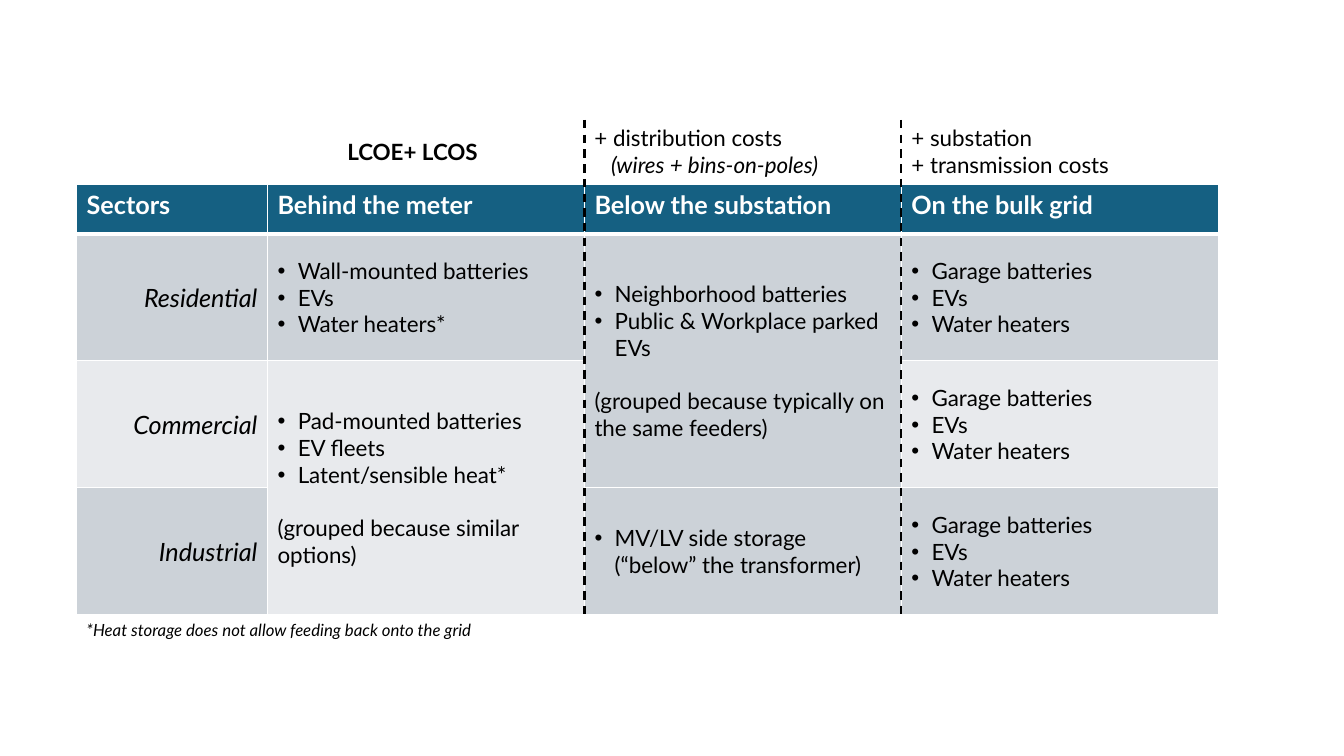
"""Build a slide that groups storage options by sector and grid level."""
from dataclasses import dataclass

from lxml.etree import SubElement
from pptx import Presentation
from pptx.dml.color import RGBColor
from pptx.enum.dml import MSO_LINE
from pptx.enum.shapes import MSO_CONNECTOR
from pptx.enum.text import MSO_ANCHOR, PP_ALIGN
from pptx.oxml.ns import qn
from pptx.slide import Slide
from pptx.table import Table, _Cell
from pptx.text.text import TextFrame
from pptx.util import Pt

FONT = "Lato"
BLACK, WHITE, HEADER_FILL = "000000", "FFFFFF", "156082"
BAND_FILLS = ("CCD2D8", "E8EAED")
TABLE_LEFT, TABLE_TOP = 54.7, 131.8
SECTOR_WIDTH, LEVEL_WIDTH = 136.4, 226.4
HEADER_HEIGHT, SECTOR_HEIGHT = 35.28, 90.72
DIVIDER_TOP, COST_TOP = 85.7, 85
BULLET_INDENT = 14.4
TABLE_BOTTOM = TABLE_TOP + HEADER_HEIGHT + 3 * SECTOR_HEIGHT
SUBSTATION_X = TABLE_LEFT + SECTOR_WIDTH + LEVEL_WIDTH
BULK_GRID_X = SUBSTATION_X + LEVEL_WIDTH


@dataclass
class Options:
    """Storage options in one cell, which may cover several sectors."""
    row: int
    column: int
    items: tuple[str, ...]
    detail: str = ""
    reason: str = ""
    sectors: int = 1


@dataclass
class Label:
    """Free text around the table, given as lines with their formats."""
    left: float
    top: float
    width: float
    height: float
    lines: tuple[tuple[str, dict], ...]


HEADINGS = ("Sectors", "Behind the meter", "Below the substation", "On the bulk grid")
SECTORS = ("Residential", "Commercial", "Industrial")
BULK_ITEMS = ("Garage batteries", "EVs", "Water heaters")
OPTIONS = [
    Options(1, 1, ("Wall-mounted batteries", "EVs", "Water heaters*")),
    Options(2, 1, ("Pad-mounted batteries", "EV fleets", "Latent/sensible heat*"),
            reason="(grouped because similar options)", sectors=2),
    Options(1, 2, ("Neighborhood batteries", "Public & Workplace parked EVs"),
            reason="(grouped because typically on the same feeders)", sectors=2),
    Options(3, 2, ("MV/LV side storage",), detail="(“below” the transformer)"),
    *(Options(row, 3, BULK_ITEMS) for row in (1, 2, 3)),
]
LABELS = [
    Label(SUBSTATION_X, COST_TOP, 183.6, 46.1, (
        ("+ distribution costs", {}),
        ("(wires + bins-on-poles)", {"italic": True, "indent": 12}))),
    Label(BULK_GRID_X, COST_TOP, 274.3, 46.1, (
        ("+ substation", {}), ("+ transmission costs", {}))),
    Label(TABLE_LEFT, TABLE_BOTTOM, 480.2, 21.6, (
        ("*Heat storage does not allow feeding back onto the grid",
         {"size": 12, "italic": True}),)),
    Label(241, 95, 130, 26.6, (("LCOE+ LCOS", {"bold": True}),)),
]


def rgb(color: str) -> RGBColor:
    """Turn a hex string into a colour."""
    return RGBColor.from_string(color)


def add_text(frame: TextFrame, text: str, *, size: float = 16, color: str = BLACK,
             bold: bool = False, italic: bool = False, bullet: bool = False,
             indent: float = 0, before: float = 0,
             align: PP_ALIGN = PP_ALIGN.LEFT) -> None:
    """Add one formatted paragraph, filling the empty first one if there is one."""
    paragraph = frame.add_paragraph() if frame.text else frame.paragraphs[0]
    paragraph.alignment = align
    paragraph.space_before = Pt(before)
    run = paragraph.add_run()
    run.text = text
    run.font.name, run.font.size = FONT, Pt(size)
    run.font.bold, run.font.italic = bold, italic
    run.font.color.rgb = rgb(color)
    properties = paragraph._p.get_or_add_pPr()
    properties.set("marL", str(Pt(indent)))
    properties.set("indent", str(Pt(-indent if bullet else 0)))
    if bullet:
        SubElement(properties, qn("a:buFont")).set("typeface", "Arial")
        SubElement(properties, qn("a:buChar")).set("char", "•")


def format_cell(cell: _Cell, color: str, top: float, bottom: float) -> None:
    """Give a cell white borders and a plain fill."""
    properties = cell._tc.get_or_add_tcPr()
    for side, width in (("L", 1), ("R", 1), ("T", top), ("B", bottom)):
        border = SubElement(properties, qn(f"a:ln{side}"))
        border.set("w", str(Pt(width)))
        SubElement(SubElement(border, qn("a:solidFill")),
                   qn("a:srgbClr")).set("val", WHITE)
    cell.fill.solid()
    cell.fill.fore_color.rgb = rgb(color)


def fill_options(table: Table, options: Options) -> None:
    """Write one group of storage options into its cell."""
    cell = table.cell(options.row, options.column)
    if options.sectors > 1:
        cell.merge(table.cell(options.row + options.sectors - 1, options.column))
    for item in options.items:
        add_text(cell.text_frame, item, bullet=True, indent=BULLET_INDENT)
    if options.detail:
        add_text(cell.text_frame, options.detail, indent=BULLET_INDENT)
    if options.reason:
        add_text(cell.text_frame, options.reason, before=19.2)


def add_sector_table(slide: Slide) -> None:
    """Draw the table of sectors against grid levels."""
    table = slide.shapes.add_table(
        len(SECTORS) + 1, len(HEADINGS), Pt(TABLE_LEFT), Pt(TABLE_TOP),
        Pt(SECTOR_WIDTH + 3 * LEVEL_WIDTH), Pt(TABLE_BOTTOM - TABLE_TOP)).table
    for index, column in enumerate(table.columns):
        column.width = Pt(LEVEL_WIDTH if index else SECTOR_WIDTH)
    for index, row in enumerate(table.rows):
        row.height = Pt(SECTOR_HEIGHT if index else HEADER_HEIGHT)
        color = BAND_FILLS[(index - 1) % 2] if index else HEADER_FILL
        for cell in row.cells:
            format_cell(cell, color, top=3 if index == 1 else 1,
                        bottom=1 if index else 3)
            cell.vertical_anchor = MSO_ANCHOR.MIDDLE if index else MSO_ANCHOR.TOP
    for index, heading in enumerate(HEADINGS):
        add_text(table.cell(0, index).text_frame, heading,
                 size=18, color=WHITE, bold=True)
    for index, sector in enumerate(SECTORS, start=1):
        add_text(table.cell(index, 0).text_frame, sector,
                 size=18, italic=True, align=PP_ALIGN.RIGHT)
    for options in OPTIONS:
        fill_options(table, options)


def add_level_divider(slide: Slide, x: float) -> None:
    """Draw a dashed divider between two grid levels."""
    divider = slide.shapes.add_connector(
        MSO_CONNECTOR.STRAIGHT, Pt(x), Pt(DIVIDER_TOP), Pt(x), Pt(TABLE_BOTTOM))
    divider.line.color.rgb = rgb(BLACK)
    divider.line.width = Pt(1.5)
    divider.line.dash_style = MSO_LINE.DASH
    SubElement(divider._element.spPr, qn("a:effectLst"))


def add_label(slide: Slide, label: Label) -> None:
    """Draw one text outside the table."""
    frame = slide.shapes.add_textbox(
        Pt(label.left), Pt(label.top), Pt(label.width), Pt(label.height)).text_frame
    frame.word_wrap = True
    for text, style in label.lines:
        add_text(frame, text, **style)


def main() -> None:
    """Build and save the slide."""
    presentation = Presentation()
    presentation.slide_width, presentation.slide_height = Pt(960), Pt(540)
    slide = presentation.slides.add_slide(presentation.slide_layouts[6])
    add_sector_table(slide)
    for x in (SUBSTATION_X, BULK_GRID_X):
        add_level_divider(slide, x)
    for label in LABELS:
        add_label(slide, label)
    presentation.save("out.pptx")


if __name__ == "__main__":
    main()
